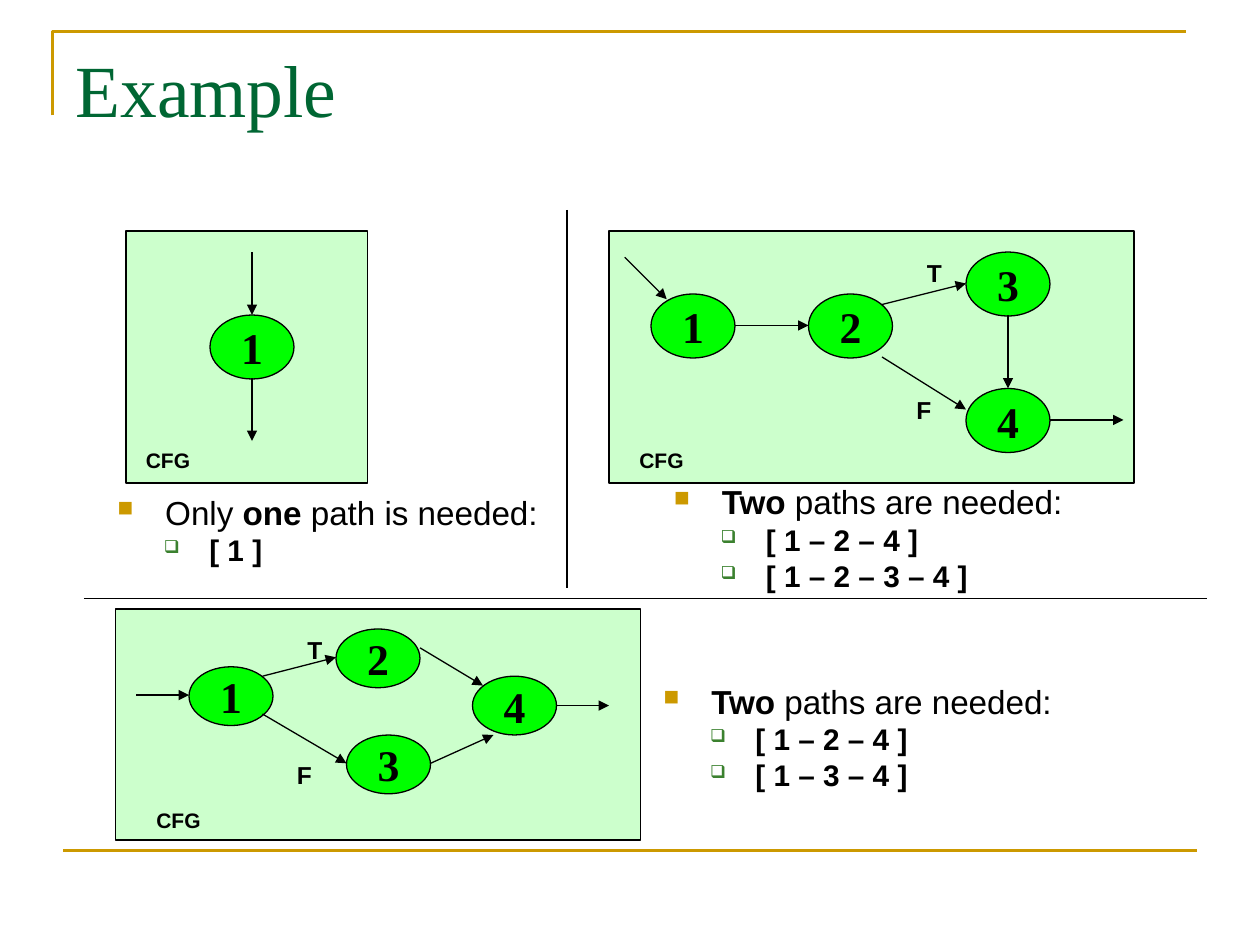
"""Build a slide of three control flow graphs and the paths each one needs."""
from dataclasses import dataclass

from lxml import etree
from pptx import Presentation
from pptx.dml.color import RGBColor
from pptx.enum.shapes import MSO_CONNECTOR, MSO_SHAPE
from pptx.enum.text import MSO_ANCHOR, MSO_AUTO_SIZE, PP_ALIGN
from pptx.oxml.ns import qn
from pptx.util import Inches, Pt

RECT, OVAL = MSO_SHAPE.RECTANGLE, MSO_SHAPE.OVAL
LINE = MSO_CONNECTOR.STRAIGHT
TOP, MIDDLE = MSO_ANCHOR.TOP, MSO_ANCHOR.MIDDLE
LEFT, CENTER = PP_ALIGN.LEFT, PP_ALIGN.CENTER
FIXED, GROW = MSO_AUTO_SIZE.NONE, MSO_AUTO_SIZE.SHAPE_TO_FIT_TEXT
COLS, ROWS = 120, 90
WIDTH, HEIGHT = Inches(10), Inches(7.5)
UNIT = WIDTH // COLS


@dataclass(frozen=True)
class Theme:
    ink: str = "000000"
    gold: str = "CC9900"
    title: str = "006633"
    panel: str = "CCFFCC"
    node: str = "00FF00"
    check: str = "3B812F"
    serif: str = "Times New Roman"
    sans: str = "Arial"
    title_pt: float = 42
    node_pt: float = 25
    lead_pt: float = 19
    path_pt: float = 17
    mark_pt: float = 14
    tag_pt: float = 12
    thick: float = 1.5
    rule: float = 1
    thin: float = 0.75


@dataclass(frozen=True)
class Label:
    text: str
    col: float
    row: float
    wide: float
    high: float
    size: float


@dataclass(frozen=True)
class Graph:
    box: tuple
    high: float
    nodes: tuple
    arrows: tuple
    labels: tuple


@dataclass(frozen=True)
class Note:
    box: tuple
    lead: tuple
    paths: tuple


@dataclass(frozen=True)
class Bullet:
    sign: str
    color: str
    share: int
    left: float
    hang: float
    before: float


THEME = Theme()
SQUARE = Bullet("■", THEME.gold, 65, 0.38, 0.38, 0)
CHECK = Bullet("❑", THEME.check, 60, 0.73, 0.36, 4.2)


def tag(col: float, row: float) -> Label:
    return Label("CFG", col, row, 8, 3.6, THEME.tag_pt)


def mark(text: str, col: float, row: float) -> Label:
    return Label(text, col, row, 6, 4.1, THEME.mark_pt)


GRAPHS = (
    Graph((12, 22, 23, 24), 6.1, ((20, 30),),
          ((24, 24, 24, 30), (24, 36, 24, 42)), (tag(12, 42),)),
    Graph((58, 22, 50, 24), 6.1, ((62, 28), (77, 28), (92, 24), (92, 37)),
          ((59.5, 24.5, 63.5, 28.5), (70, 31, 77, 31), (84, 29, 92, 27),
           (84, 34, 92, 39), (96, 30, 96, 37), (100, 40, 107, 40)),
          (tag(59, 42), mark("T", 86, 24), mark("F", 85, 37))),
    Graph((11, 58, 50, 22), 5.6, ((18, 63.5), (32, 59.9), (33, 70), (45, 64.4)),
          ((13, 66.2, 18, 66.2), (25, 64.4, 32, 62.6), (25, 68, 33, 72.7),
           (40, 61.7, 46, 65.3), (41, 72.7, 47, 70), (53, 67.2, 58, 67.2)),
          (tag(13, 76.3), mark("T", 27, 59.9), mark("F", 26, 71.8))),
)
TWO = (("Two ", True), ("paths are needed:", False))
NOTES = (
    Note((10, 47, 43, 8),
         (("Only ", False), ("one ", True), ("path is needed:", False)), ("[ 1 ]",)),
    Note((63, 46, 45, 13), TWO, ("[ 1 – 2 – 4 ]", "[ 1 – 2 – 3 – 4 ]")),
    Note((62, 65, 40, 16), TWO, ("[ 1 – 2 – 4 ]", "[ 1 – 3 – 4 ]")),
)


def grid(*cells: float) -> list[int]:
    return [round(cell * UNIT) for cell in cells]


def style(para, face: str, size: float, color: str, bold: bool | None = None) -> None:
    font = para.font
    font.name, font.size, font.bold = face, Pt(size), bold
    font.color.rgb = RGBColor.from_string(color)


def stroke(line, color: str, width: float) -> None:
    line.color.rgb = RGBColor.from_string(color)
    line.width = Pt(width)


def draw_line(shapes, ends: tuple, color: str, width: float, arrow: bool = False) -> None:
    link = shapes.add_connector(LINE, *grid(*ends))
    stroke(link.line, color, width)
    props = link._element.spPr
    if arrow:
        etree.SubElement(props.find(qn("a:ln")), qn("a:tailEnd"), type="triangle")
    etree.SubElement(props, qn("a:effectLst"))


def draw_shape(shapes, kind, box: tuple, fill: str, width: float):
    shape = shapes.add_shape(kind, *grid(*box))
    shape.shadow.inherit = False
    shape.fill.solid()
    shape.fill.fore_color.rgb = RGBColor.from_string(fill)
    stroke(shape.line, THEME.ink, width)
    return shape


def draw_label(shapes, label: Label) -> None:
    frame = shapes.add_textbox(
        *grid(label.col, label.row, label.wide, label.high)).text_frame
    frame.word_wrap, frame.auto_size = True, GROW
    para = frame.paragraphs[0]
    para.text, para.alignment = label.text, CENTER
    style(para, THEME.sans, label.size, THEME.ink, True)


def draw_graph(shapes, graph: Graph) -> None:
    draw_shape(shapes, RECT, graph.box, THEME.panel, THEME.rule)
    for count, (col, row) in enumerate(graph.nodes, 1):
        node = draw_shape(shapes, OVAL, (col, row, 8, graph.high), THEME.node, THEME.thin)
        frame = node.text_frame
        frame.word_wrap, frame.vertical_anchor = False, MIDDLE
        para = frame.paragraphs[0]
        para.text, para.alignment = str(count), CENTER
        style(para, THEME.serif, THEME.node_pt, THEME.ink, True)
    for ends in graph.arrows:
        draw_line(shapes, ends, THEME.ink, THEME.thin, True)
    for label in graph.labels:
        draw_label(shapes, label)


def set_bullet(para, bullet: Bullet) -> None:
    para.line_spacing, para.space_before = 0.8, Pt(bullet.before)
    props = para._p.get_or_add_pPr()
    props.set("marL", str(Inches(bullet.left)))
    props.set("indent", str(-Inches(bullet.hang)))
    tint = etree.SubElement(props, qn("a:buClr"))
    etree.SubElement(tint, qn("a:srgbClr"), val=bullet.color)
    etree.SubElement(props, qn("a:buSzPct"), val=str(bullet.share * 1000))
    etree.SubElement(props, qn("a:buChar"), char=bullet.sign)


def draw_note(shapes, note: Note) -> None:
    frame = shapes.add_textbox(*grid(*note.box)).text_frame
    frame.word_wrap = True
    lead = frame.paragraphs[0]
    set_bullet(lead, SQUARE)
    style(lead, THEME.sans, THEME.lead_pt, THEME.ink)
    for text, bold in note.lead:
        run = lead.add_run()
        run.text, run.font.bold = text, bold
    for path in note.paths:
        para = frame.add_paragraph()
        para.text, para.level = path, 1
        set_bullet(para, CHECK)
        style(para, THEME.sans, THEME.path_pt, THEME.ink, True)


def draw_frame(slide) -> None:
    pen = slide.shapes.build_freeform(5, 11, scale=UNIT)
    pen.add_line_segments([(5, 3), (113, 3)], close=False)
    edge = pen.convert_to_shape()
    edge.shadow.inherit = False
    edge.fill.background()
    stroke(edge.line, THEME.gold, THEME.thick)
    draw_line(slide.shapes, (6, 81, 114, 81), THEME.gold, THEME.thick)
    title = slide.shapes.title
    title.left, title.top, title.width, title.height = grid(6, 3.6, 108, 15)
    frame = title.text_frame
    frame.auto_size, frame.vertical_anchor = FIXED, TOP
    para = frame.paragraphs[0]
    para.text, para.alignment = "Example", LEFT
    style(para, THEME.serif, THEME.title_pt, THEME.title)


def main() -> None:
    deck = Presentation()
    deck.slide_width, deck.slide_height = WIDTH, ROWS * UNIT
    slide = deck.slides.add_slide(deck.slide_layouts[5])
    draw_frame(slide)
    for graph in GRAPHS:
        draw_graph(slide.shapes.add_group_shape().shapes, graph)
    for note in NOTES:
        draw_note(slide.shapes, note)
    for ends in ((8, 57, 115, 57), (54, 20, 54, 56)):
        draw_line(slide.shapes, ends, THEME.ink, THEME.rule)
    deck.save("out.pptx")


if __name__ == "__main__":
    main()
